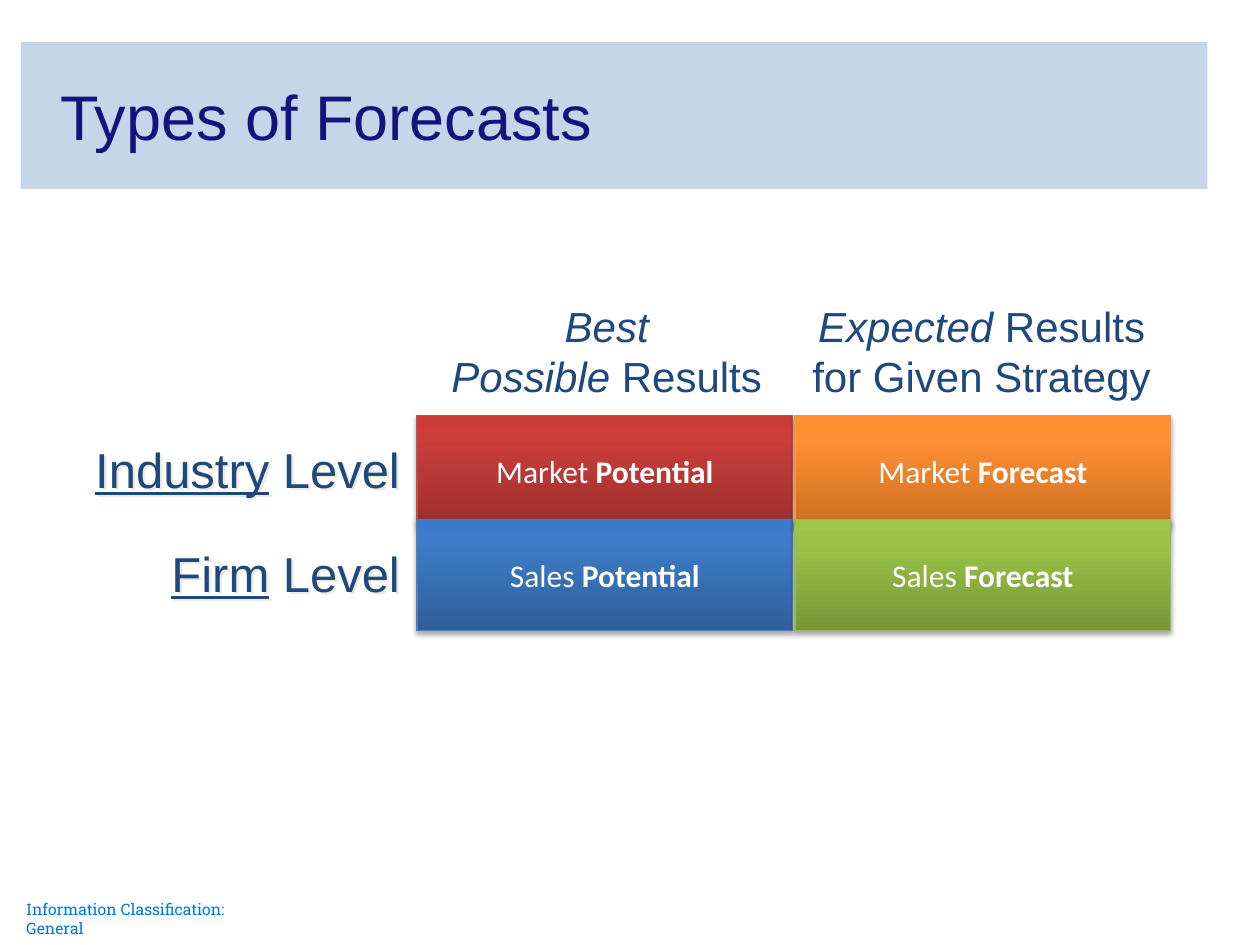
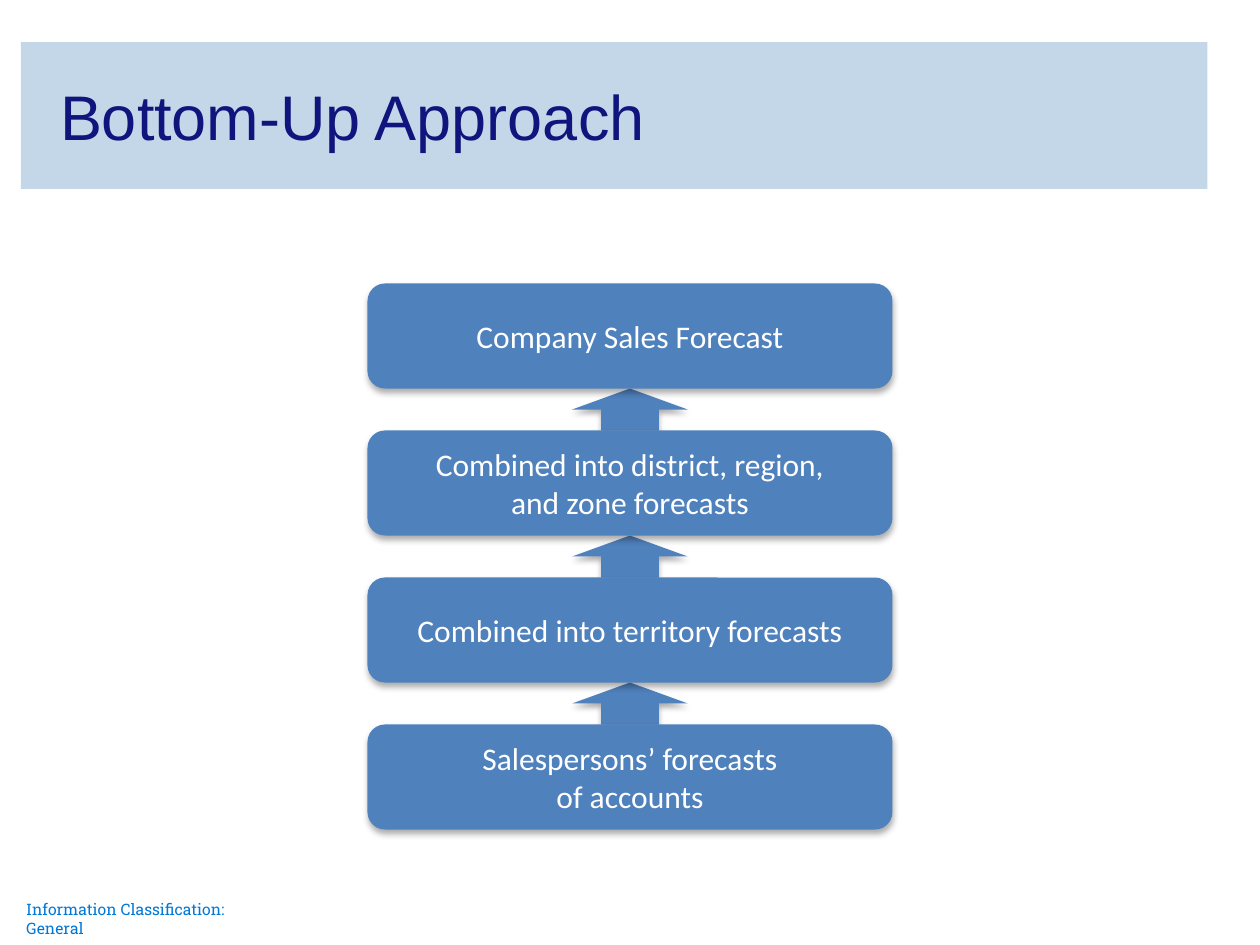
from pptx import Presentation
from pptx.dml.color import RGBColor
from pptx.enum.shapes import MSO_SHAPE as Preset
from pptx.enum.text import MSO_ANCHOR as Anchor, MSO_AUTO_SIZE as AutoSize, PP_ALIGN as Align
from pptx.oxml import parse_xml
from pptx.oxml.ns import nsdecls, qn
from pptx.util import Pt

COLORS = {
    "band": "C4D7E9",
    "title": "11147D",
    "footer": "0078D7",
    "label": "1F497D",
    "label_shadow": "EEECE1",
    "step": "4F81BD",
    "white": "FFFFFF",
    "shadow": "000000",
}
COLORS = {name: RGBColor.from_string(value) for name, value in COLORS.items()}


def write(shape, runs, size, font, color, align):
    """Fill the first paragraph; each run is (text, font attribute to switch on), "\\n" a break."""
    paragraph = shape.text_frame.paragraphs[0]
    paragraph.alignment = align
    paragraph.font.size = Pt(size)
    paragraph.font.name = font
    paragraph.font.color.rgb = COLORS[color]
    for text, style in runs:
        if text == "\n":
            paragraph.add_line_break()
            continue
        run = paragraph.add_run()
        run.text = text
        if style:
            setattr(run.font, style, True)


def add_shadow(shape, color, opacity, blur, distance, angle):
    shape.shadow.inherit = False
    effects = shape._element.spPr.find(qn("a:effectLst"))
    effects.append(parse_xml(
        f'<a:outerShdw {nsdecls("a")} blurRad="{Pt(blur)}" dist="{Pt(distance)}" '
        f'dir="{angle * 60000}" rotWithShape="0"><a:srgbClr val="{COLORS[color]}">'
        f'<a:alpha val="{opacity * 1000}"/></a:srgbClr></a:outerShdw>'))


presentation = Presentation()
presentation.slide_width = Pt(720)
presentation.slide_height = Pt(540)

# Title band and footer on every slide
slides = []
for heading in ("Types of Forecasts", "Bottom-Up Approach"):
    slide = presentation.slides.add_slide(presentation.slide_layouts[5])
    title = slide.shapes.title
    title.left, title.top, title.width, title.height = Pt(12), Pt(24), Pt(678), Pt(84)
    title.fill.solid()
    title.fill.fore_color.rgb = COLORS["band"]
    title.text_frame.auto_size = AutoSize.NONE
    title.text_frame.vertical_anchor = Anchor.MIDDLE
    title.text_frame.margin_left = Pt(22.3)
    write(title, [(heading, None)], 36, "Arial", "title", Align.LEFT)

    footer = slide.shapes.add_textbox(Pt(15), Pt(514), Pt(146), Pt(11))
    frame = footer.text_frame
    frame.word_wrap = True
    frame.margin_left = frame.margin_top = frame.margin_right = frame.margin_bottom = 0
    write(footer, [("Information Classification: General", None)], 9, "Roboto Slab", "footer", Align.LEFT)
    slides.append(slide)

types_slide, approach_slide = slides

# Forecast matrix: gradient stops run from bottom to top, then the outline
GRID_LEFT, GRID_TOP, COLUMN_STEP, ROW_STEP = 238.3, 237.5, 216, 59.5
matrix = [
    (0, 0, "Market ", "Potential", ("9C2F2D", "CB3E3A", "CE3B37"), "BF4C48"),
    (0, 1, "Sales ", "Potential", ("2F5F99", "3D7CC7", "3A7CCB"), "4B7EBC"),
    (1, 0, "Market ", "Forecast", ("CC6E20", "FF9034", "FF9136"), "F69240"),
    (1, 1, "Sales ", "Forecast", ("779737", "9BC348", "9DC746"), "98B955"),
]
for column, row, level, measure, gradient, outline in matrix:
    cell = types_slide.shapes.add_shape(
        Preset.RECTANGLE, Pt(GRID_LEFT + column * COLUMN_STEP), Pt(GRID_TOP + row * ROW_STEP),
        Pt(214.6), Pt(63.3))
    stops = "".join(f'<a:gs pos="{position}000"><a:srgbClr val="{color}"/></a:gs>'
                    for position, color in zip((0, 80, 100), gradient))
    cell._element.spPr.insert(2, parse_xml(
        f'<a:gradFill {nsdecls("a")} rotWithShape="1"><a:gsLst>{stops}</a:gsLst>'
        '<a:lin ang="16200000" scaled="0"/></a:gradFill>'))
    cell.line.color.rgb = RGBColor.from_string(outline)
    cell.line.width = Pt(0.75)
    add_shadow(cell, "shadow", 35, 3.1, 1.8, 90)
    cell.text_frame.word_wrap = False
    cell.text_frame.vertical_anchor = Anchor.MIDDLE
    write(cell, [(level, None), (measure, "bold")], 18, "Calibri", "white", Align.CENTER)

for row, level in enumerate(("Industry", "Firm")):
    label = types_slide.shapes.add_textbox(
        Pt(29), Pt(GRID_TOP + 10 + row * ROW_STEP), Pt(206.6), Pt(41))
    label.text_frame.word_wrap = True
    add_shadow(label, "label_shadow", 100, 0, 2, 45)
    write(label, [(level, "underline"), (" Level", None)], 28, "Arial", "label", Align.RIGHT)

column_headers = [
    (244.8, 203.8, [("Best", "italic"), ("\n", None), ("Possible", "italic"), (" Results", None)]),
    (450, 221.8, [("Expected", "italic"), (" Results", None), ("\n", None), ("for Given Strategy", None)]),
]
for left, width, runs in column_headers:
    header = types_slide.shapes.add_textbox(Pt(left), Pt(168), Pt(width), Pt(65.5))
    header.text_frame.word_wrap = True
    write(header, runs, 24, "Arial", "label", Align.CENTER)

# Bottom-up chain: arrows lie behind the steps
STEP_TOP, STEP_HEIGHT, STEP_PITCH = 162, 60, 84
steps = [
    ["Company Sales Forecast"],
    ["Combined into district, region,", "\n", "and zone forecasts"],
    ["Combined into territory forecasts"],
    ["Salespersons’ forecasts", "\n", "of accounts"],
]
pieces = [(Preset.UP_ARROW, 327, STEP_TOP + STEP_HEIGHT + index * STEP_PITCH, 66,
           STEP_PITCH - STEP_HEIGHT, []) for index in range(len(steps) - 1)]
pieces += [(Preset.ROUNDED_RECTANGLE, 210, STEP_TOP + index * STEP_PITCH, 300, STEP_HEIGHT, lines)
           for index, lines in enumerate(steps)]
for preset, left, top, width, height, lines in pieces:
    piece = approach_slide.shapes.add_shape(preset, Pt(left), Pt(top), Pt(width), Pt(height))
    piece.fill.solid()
    piece.fill.fore_color.rgb = COLORS["step"]
    piece.line.fill.background()
    add_shadow(piece, "shadow", 32, 3.5, 2.2, 90)
    if lines:
        piece.text_frame.vertical_anchor = Anchor.MIDDLE
        write(piece, [(line, None) for line in lines], 18, "Calibri", "white", Align.CENTER)

presentation.save("out.pptx")
